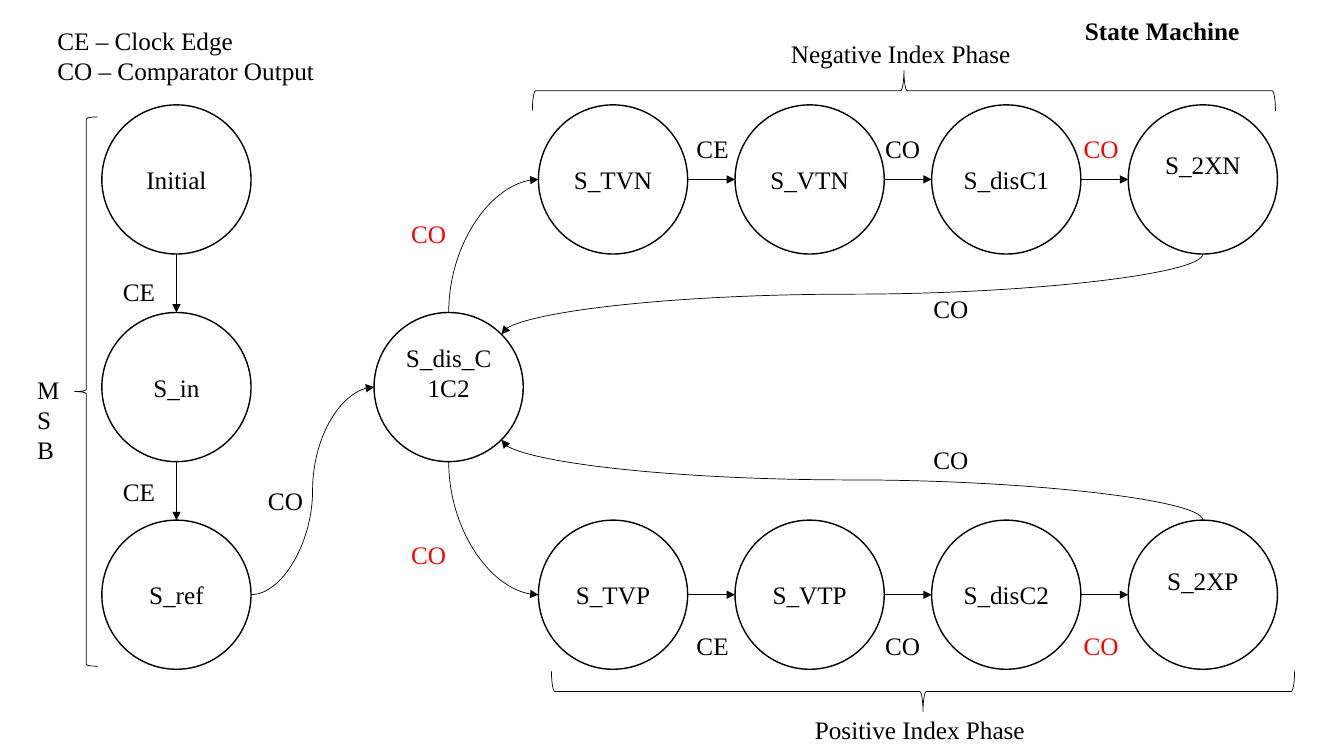
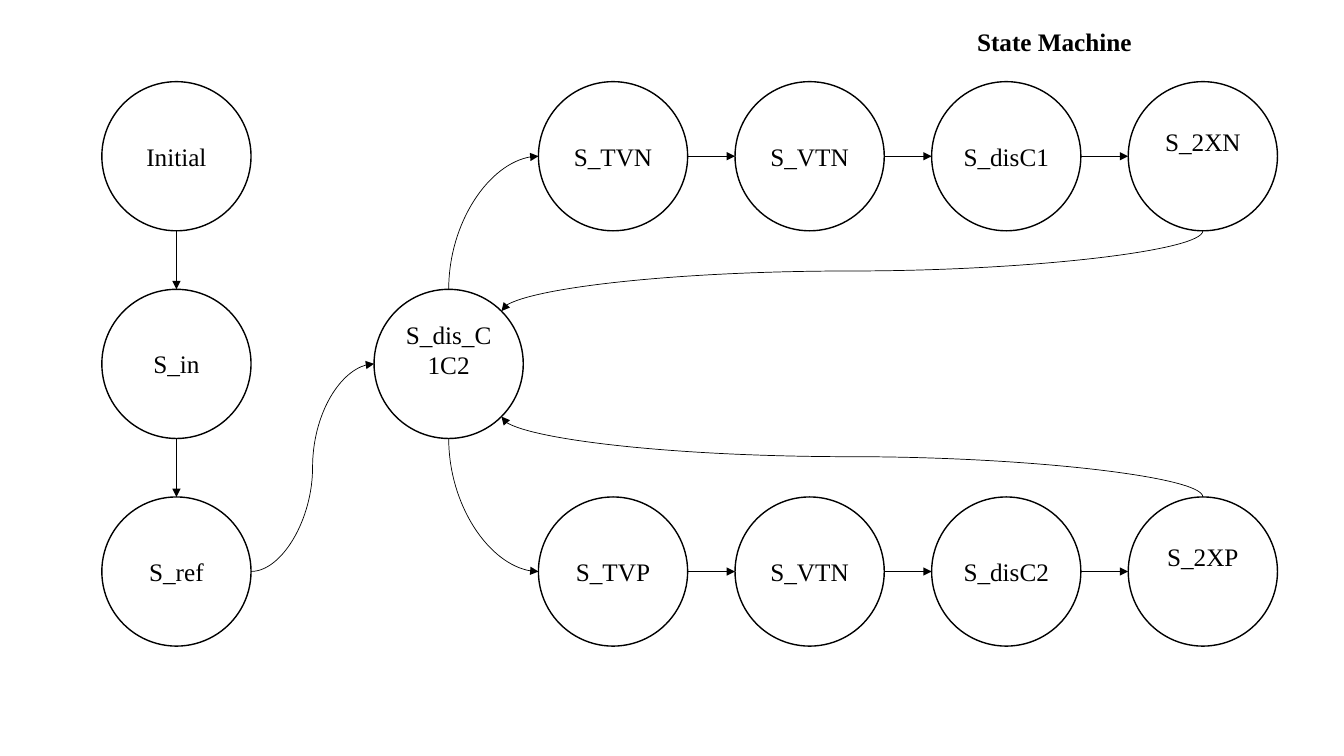
import math
from dataclasses import dataclass

from lxml import etree
from pptx import Presentation
from pptx.dml.color import RGBColor
from pptx.enum import shapes as es, text as et
from pptx.oxml.ns import qn
from pptx.util import Inches, Pt


@dataclass(frozen=True)
class Theme:
    ink: RGBColor = RGBColor(0, 0, 0)
    alert: RGBColor = RGBColor(255, 0, 0)
    font: str = "Times New Roman"
    size: int = 18
    ring: float = 1
    hair: float = 0.5


T = Theme()
DIAM = 1.48
ROW = 2.06
COL = 1.95
HUB = 2.7
CHAIN = 4.33
LIFT = 0.34
# Connection sites of an ellipse, counter-clockwise from the top
TOP, LEFT, BOTTOM, LOW, RIGHT, HIGH = 0, 2, 4, 5, 6, 7


def style(frame, color=T.ink, bold=False, align=et.PP_ALIGN.LEFT):
    for para in frame.paragraphs:
        para.alignment = align
        for run in para.runs:
            font = run.font
            font.name, font.size, font.bold = T.font, Pt(T.size), bold
            font.color.rgb = color


def label(slide, words, left, top, width=0.64, height=0.4, **look):
    box = slide.shapes.add_textbox(*map(Inches, (left, top, width, height)))
    frame = box.text_frame
    frame.word_wrap = True
    frame.text = words
    style(frame, **look)


def outline(slide, kind, left, top, width, height, weight):
    shape = slide.shapes.add_shape(kind, *map(Inches, (left, top, width, height)))
    shape.shadow.inherit = False
    shape.fill.background()
    shape.line.color.rgb = T.ink
    shape.line.width = Pt(weight)
    return shape


def state(slide, name, left, top, lift=False):
    """Draw a state circle; lift moves its text above the middle."""
    ring = outline(slide, es.MSO_SHAPE.OVAL, left, top, DIAM, DIAM, T.ring)
    frame = ring.text_frame
    frame.text = name
    frame.word_wrap = True
    frame.vertical_anchor = et.MSO_ANCHOR.MIDDLE
    if lift:
        frame.margin_bottom = Inches(LIFT)
    style(frame, align=et.PP_ALIGN.CENTER)
    return ring


def point(ring, site):
    angle = math.radians(90 + 45 * site)
    half = ring.width / 2
    return (round(ring.left + half + half * math.cos(angle)),
            round(ring.top + half - half * math.sin(angle)))


def upright(slide, x1, y1, x2, y2):
    """Add a curve that leaves its start vertically, as a turned box."""
    wide, high = abs(y2 - y1), abs(x2 - x1)
    left, top = (x1 + x2 - wide) // 2, (y1 + y2 - high) // 2
    curve = slide.shapes.add_connector(
        es.MSO_CONNECTOR.CURVE, left, top, left + wide, top + high)
    east, north = x2 > x1, y2 < y1
    frame = curve._element.spPr.find(qn("a:xfrm"))
    frame.set("rot", str((90 if east == north else 270) * 60000))
    frame.set("flipH", str(int(east)))
    frame.set("flipV", str(int(north)))
    return curve


def arrow(slide, start, out, end, into):
    """Join two circles, bending only when they are not aligned."""
    x1, y1 = point(start, out)
    x2, y2 = point(end, into)
    if x1 != x2 and y1 != y2 and out in (TOP, BOTTOM):
        line = upright(slide, x1, y1, x2, y2)
        if into == LEFT:
            geom = line._element.spPr.find(qn("a:prstGeom"))
            geom.set("prst", "curvedConnector2")
    else:
        flat = x1 == x2 or y1 == y2
        kind = es.MSO_CONNECTOR.STRAIGHT if flat else es.MSO_CONNECTOR.CURVE
        line = slide.shapes.add_connector(kind, x1, y1, x2, y2)
    line.line.color.rgb = T.ink
    line.line.width = Pt(T.hair)
    etree.SubElement(line.line._get_or_add_ln(), qn("a:tailEnd"), type="triangle")
    etree.SubElement(line._element.spPr, qn("a:effectLst"))
    joins = line._element.find(".//" + qn("p:cNvCxnSpPr"))
    for tag, ring, site in (("a:stCxn", start, out), ("a:endCxn", end, into)):
        etree.SubElement(joins, qn(tag), id=str(ring.shape_id), idx=str(site))


def chain(slide, names, left, top):
    """Draw a row of linked states, the last with lifted text."""
    rings = [state(slide, name, left + COL * i, top, i == len(names) - 1)
             for i, name in enumerate(names)]
    for start, end in zip(rings, rings[1:]):
        arrow(slide, start, RIGHT, end, LEFT)
    return rings


def machine(slide, left, top, upper, lower):
    msb = [state(slide, name, left, top + ROW * i)
           for i, name in enumerate(("Initial", "S_in", "S_ref"))]
    for start, end in zip(msb, msb[1:]):
        arrow(slide, start, BOTTOM, end, TOP)
    hub = state(slide, "S_dis_C1C2", left + HUB, top + ROW, True)
    arrow(slide, msb[-1], RIGHT, hub, LEFT)
    for names, row, near, far, back in ((upper, 0, TOP, BOTTOM, HIGH),
                                        (lower, 2, BOTTOM, TOP, LOW)):
        rings = chain(slide, names, left + CHAIN, top + ROW * row)
        arrow(slide, hub, near, rings[0], LEFT)
        arrow(slide, rings[-1], far, hub, back)


def events(slide, left, top):
    """Label the transitions of the machine at left, top."""
    marks = [("CE", 0.11, 1.65, T.ink), ("CE", 0.11, 3.64, T.ink),
             ("CO", 1.55, 3.73, T.ink),
             ("CO", 2.97, 1.08, T.alert), ("CO", 2.97, 4.26, T.alert),
             ("CO", 8.15, 1.82, T.ink), ("CO", 8.15, 3.32, T.ink)]
    for y in (0.23, 5.16):
        marks += [("CE", 5.8, y, T.ink), ("CO", 7.67, y, T.ink),
                  ("CO", 9.64, y, T.alert)]
    for words, x, y, color in marks:
        label(slide, words, left + x, top + y, color=color)


def brace(slide, left, top, width, height, turn=0):
    """Draw a brace filling the box; turn 90 points it up, 270 down."""
    wide, high = (height, width) if turn else (width, height)
    shape = outline(slide, es.MSO_SHAPE.LEFT_BRACE, left + (width - wide) / 2,
                    top + (height - high) / 2, wide, high, T.hair)
    shape.rotation = turn


def phases(slide, left, top):
    """Bracket and name the three groups of the machine at left, top."""
    brace(slide, left - 0.27, top + 0.12, 0.23, 5.45)
    label(slide, "MSB", left - 0.74, top + 2.62, 0.32, 1.01)
    for words, x, y, gap, turn in (
            ("Negative Index Phase ", 4.27, -0.34, -0.37, 90),
            ("Positive Index Phase ", 4.46, 5.62, 0.38, 270)):
        brace(slide, left + x, top + y, 7.37, 0.4, turn)
        label(slide, words, left + x + 2.05, top + y + gap, 3.27,
              align=et.PP_ALIGN.CENTER)


def page(deck, left, top):
    slide = deck.slides.add_slide(deck.slide_layouts[5])
    title = slide.shapes.title
    title.left, title.top = Inches(left), Inches(top)
    title.width, title.height = Inches(2.69), Inches(0.4)
    frame = title.text_frame
    frame.text = "State Machine"
    frame.auto_size = et.MSO_AUTO_SIZE.NONE
    frame.vertical_anchor = et.MSO_ANCHOR.TOP
    style(frame, bold=True)
    return slide


def main():
    deck = Presentation()
    deck.slide_width, deck.slide_height = Inches(13.33), Inches(7.5)
    upper = ("S_TVN", "S_VTN", "S_disC1", "S_2XN")

    full = page(deck, 10.66, 0.1)
    left, top = 1.01, 1.04
    machine(full, left, top, upper, ("S_TVP", "S_VTP", "S_disC2", "S_2XP"))
    events(full, left, top)
    phases(full, left, top)
    label(full, "CE – Clock Edge\nCO – Comparator Output", 0.47, 0.2, 3.62, 0.71)

    plain = page(deck, 9.59, 0.21)
    machine(plain, left, 0.81, upper, ("S_TVP", "S_VTN", "S_disC2", "S_2XP"))

    deck.save("out.pptx")


if __name__ == "__main__":
    main()
